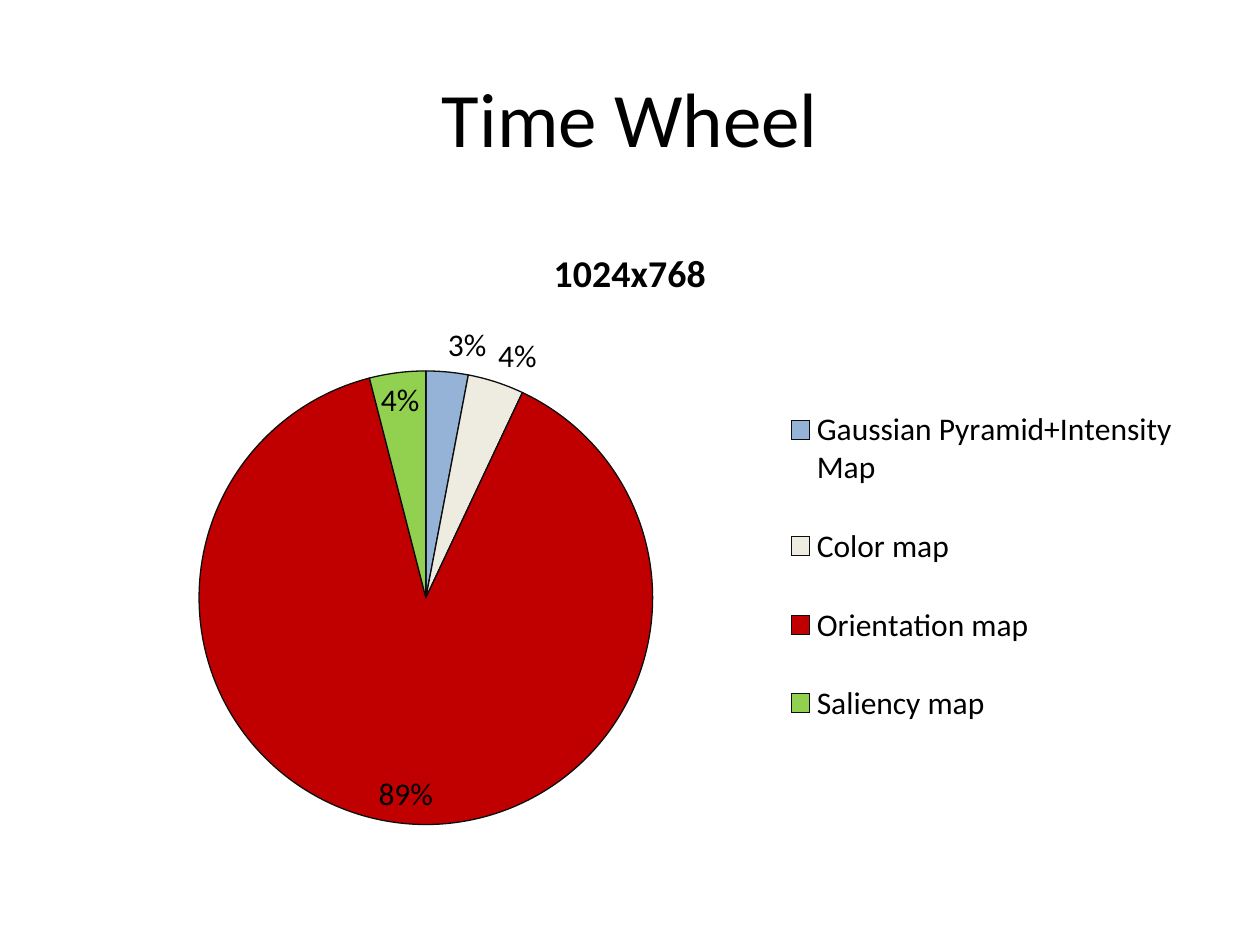
"""Build a slide with a pie chart of the time spent on each map."""
from pptx import Presentation
from pptx import util as u
from pptx.chart.data import CategoryChartData
from pptx.dml.color import RGBColor
from pptx.enum import chart as kinds, text
from pptx.oxml import parse_xml
from pptx.oxml.ns import nsdecls, qn

TITLE = "Time Wheel"
CHART_TITLE = "1024x768"
SHARES = [
    ("Gaussian Pyramid+Intensity Map", 3, "blue"),
    ("Color map", 4, "cream"),
    ("Orientation map", 89, "red"),
    ("Saliency map", 4, "green"),
]
COLOURS = {"blue": "95B3D7", "cream": "EEECE1", "red": "C00000",
           "green": "92D050", "outline": "0D0D0D", "text": "000000"}
SLIDE_SIZE = (720, 540)
TITLE_BOX = (36, 21.6, 648, 90)
CHART_BOX = (36, 126, 648, 356.4)
PIE_AREA = {"x": 0.12, "y": 0.24, "w": 0.4, "h": 0.73}
LEGEND_AREA = {"x": 0.63, "y": 0.24, "w": 0.36, "h": 0.63}


def colour(name):
    return RGBColor.from_string(COLOURS[name])


def set_all(target, values):
    for name, value in values.items():
        setattr(target, name, value)


def set_font(font, size, bold=False):
    set_all(font, {"name": "Calibri", "size": u.Pt(size), "bold": bold})
    font.color.rgb = colour("text")


def set_layout(element, index, area, inner=False):
    for old in element.findall(qn("c:layout")):
        element.remove(old)
    target = '<c:layoutTarget val="inner"/>' if inner else ""
    modes = "".join(f'<c:{axis}Mode val="edge"/>' for axis in "xy")
    sizes = "".join(f'<c:{key} val="{value}"/>' for key, value in area.items())
    element.insert(index, parse_xml(
        f'<c:layout {nsdecls("c")}><c:manualLayout>{target}{modes}{sizes}'
        "</c:manualLayout></c:layout>"))


def add_title(page):
    box = page.shapes.title
    set_all(box, dict(zip(("left", "top", "width", "height"), map(u.Pt, TITLE_BOX))))
    box.text_frame.text = TITLE
    box.text_frame.vertical_anchor = text.MSO_ANCHOR.MIDDLE
    para = box.text_frame.paragraphs[0]
    para.alignment = text.PP_ALIGN.CENTER
    set_font(para.runs[0].font, 44)


def add_pie(page):
    data = CategoryChartData()
    data.categories = [name for name, _, _ in SHARES]
    data.add_series(CHART_TITLE, [value for _, value, _ in SHARES])
    chart = page.shapes.add_chart(
        kinds.XL_CHART_TYPE.PIE, *map(u.Pt, CHART_BOX), data).chart
    set_font(chart.font, 18)
    set_all(chart, {"has_title": True, "has_legend": True})
    chart.chart_title.text_frame.text = CHART_TITLE
    set_font(chart.chart_title.text_frame.paragraphs[0].runs[0].font, 21.6, True)
    set_all(chart.legend, {"position": kinds.XL_LEGEND_POSITION.RIGHT,
                           "include_in_layout": False})

    plot = chart.plots[0]
    set_all(plot, {"vary_by_categories": True, "has_data_labels": True})
    set_all(plot.data_labels, {
        "show_percentage": True, "show_value": False,
        "number_format": "0%", "number_format_is_linked": False,
        "position": kinds.XL_LABEL_POSITION.BEST_FIT})
    set_font(plot.data_labels.font, 18)
    for index, (_, _, fill) in enumerate(SHARES):
        wedge = plot.series[0].points[index].format
        wedge.fill.solid()
        wedge.fill.fore_color.rgb = colour(fill)
        wedge.line.color.rgb = colour("outline")
        wedge.line.width = u.Pt(0.75)

    space = chart.element
    set_layout(next(space.iter(qn("c:plotArea"))), 0, PIE_AREA, inner=True)
    set_layout(next(space.iter(qn("c:legend"))), 1, LEGEND_AREA)


def main():
    deck = Presentation()
    deck.slide_width, deck.slide_height = map(u.Pt, SLIDE_SIZE)
    page = deck.slides.add_slide(deck.slide_layouts.get_by_name("Title Only"))
    add_title(page)
    add_pie(page)
    deck.save("out.pptx")


if __name__ == "__main__":
    main()
